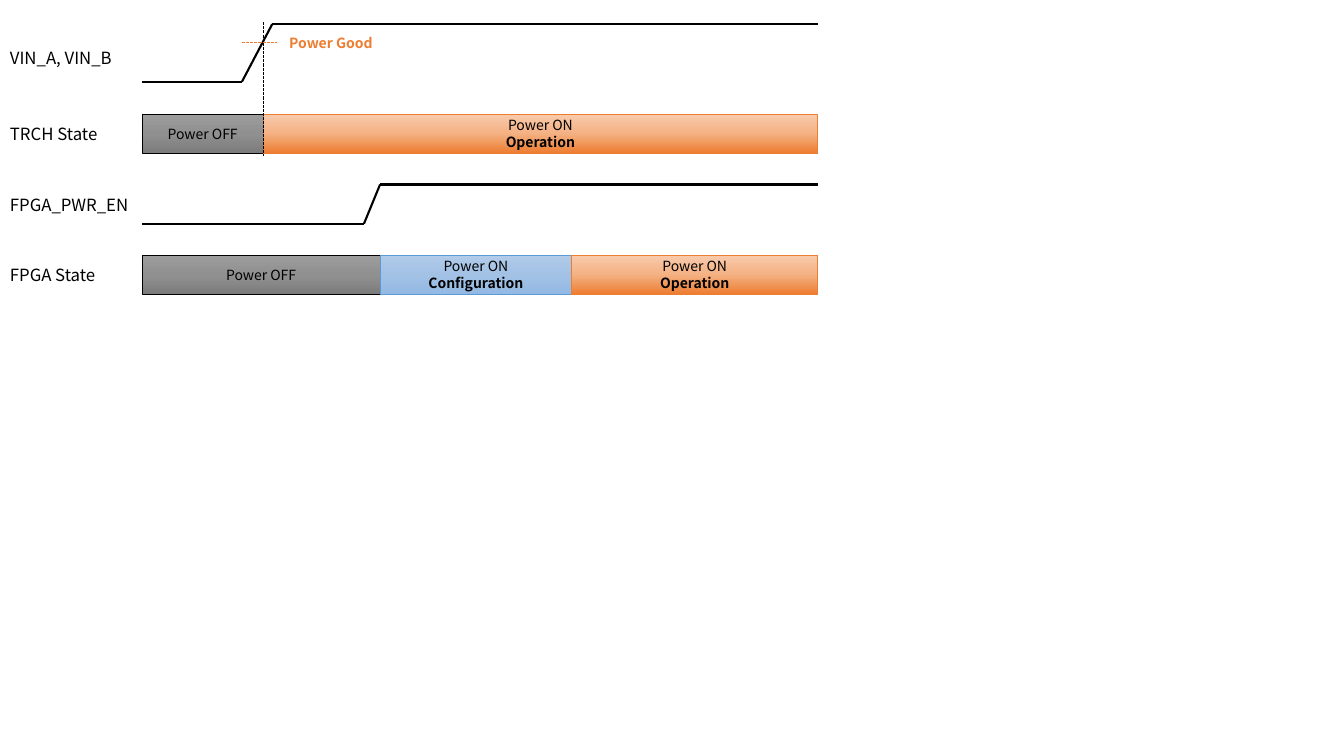
from collections import namedtuple
from lxml import etree
from pptx import Presentation
from pptx.dml.color import RGBColor
from pptx.enum.dml import MSO_LINE
from pptx.enum.shapes import MSO_CONNECTOR, MSO_SHAPE
from pptx.enum.text import MSO_ANCHOR, MSO_AUTO_SIZE, PP_ALIGN
from pptx.oxml.ns import qn
from pptx.util import Inches, Pt

STRAIGHT, RECTANGLE = MSO_CONNECTOR.STRAIGHT, MSO_SHAPE.RECTANGLE
DASHED = MSO_LINE.SQUARE_DOT
MIDDLE, TOP = MSO_ANCHOR.MIDDLE, MSO_ANCHOR.TOP
CENTER, LEFT = PP_ALIGN.CENTER, PP_ALIGN.LEFT
FIT_TEXT = MSO_AUTO_SIZE.SHAPE_TO_FIT_TEXT

FONT = "Noto Sans CJK JP"
BLACK, ORANGE = "000000", "ED7D31"

# Gradient from top to bottom, then outline
OFF = (("9D9D9D", "909090", "7C7C7C"), BLACK)
CONFIGURING = (("B1CBE9", "A3C1E5", "93B9E4"), "5B9BD5")
OPERATING = (("F8CBAD", "F4B183", ORANGE), ORANGE)

# Grid: every row shares the time columns, in inches from the timeline's left
TIMELINE_LEFT, TIMELINE_WIDTH = 1.41, 6.7
VIN_RISE, POWER_GOOD, VIN_HIGH = 0.99, 1.2, 1.29
ENABLE_RISE, FPGA_ON, CONFIGURED = 2.2, 2.36, 4.26
ROW_TOP, ROW_PITCH, ROW_HEIGHT = 1.13, 0.7, 0.39
LABEL_WIDTH, LABEL_HEIGHT = 1.82, 0.3

Box = namedtuple("Box", "left top width height")


def color(hex_code):
    return RGBColor.from_string(hex_code)


def add_text(shape, lines, size=10, ink=BLACK, align=LEFT, anchor=TOP,
             bold_last=False, shadow=False):
    frame = shape.text_frame
    frame.word_wrap = True
    frame.vertical_anchor = anchor
    for number, line in enumerate(lines):
        paragraph = frame.paragraphs[0] if number == 0 else frame.add_paragraph()
        paragraph.alignment = align
        run = paragraph.add_run()
        run.text = line
        run.font.size = Pt(size)
        run.font.bold = bold_last and number == len(lines) - 1
        run.font.color.rgb = color(ink)
        run.font.name = FONT
        properties = run.font._element
        latin = properties.find(qn("a:latin"))
        east_asian = etree.Element(qn("a:ea"), typeface=FONT)
        latin.addnext(east_asian)
        if shadow:
            effects = etree.Element(qn("a:effectLst"))
            cast = etree.SubElement(effects, qn("a:outerShdw"), blurRad="38100",
                                    dist="19050", dir="2700000")
            tint = etree.SubElement(cast, qn("a:srgbClr"), val=BLACK)
            etree.SubElement(tint, qn("a:alpha"), val="40000")
            latin.addprevious(effects)


def add_caption(slide, box, text, **text_format):
    caption = slide.shapes.add_textbox(*map(Inches, box))
    add_text(caption, [text], **text_format)
    caption.text_frame.auto_size = FIT_TEXT


def add_line(slide, start, end, ink=BLACK, weight=1.5, dash=None):
    line = slide.shapes.add_connector(STRAIGHT, *map(Inches, start + end))
    line.line.color.rgb = color(ink)
    line.line.width = Pt(weight)
    if dash:
        line.line.dash_style = dash
    etree.SubElement(line._element.spPr, qn("a:effectLst"))


def fill_gradient(shape, shades):
    shape.fill.gradient()
    shape.fill.gradient_angle = 270  # first shade at the top
    stops = shape._element.spPr.find(qn("a:gradFill")).find(qn("a:gsLst"))
    for stop in list(stops):
        stops.remove(stop)
    for number, shade in enumerate(shades):
        stop = etree.SubElement(stops, qn("a:gs"), pos=str(number * 50000))
        etree.SubElement(stop, qn("a:srgbClr"), val=shade)


def signal_row(slide, box, rise, high):
    """Low level, rising edge and high level across the box."""
    bottom, right = box.top + box.height, box.left + box.width
    points = [(box.left, bottom), (box.left + rise, bottom),
              (box.left + high, box.top), (right, box.top)]
    for start, end in zip(points, points[1:]):
        add_line(slide, start, end)


def state_row(slide, box, phases):
    """Consecutive phases, each lasting until the next one starts."""
    ends = [start for start, _, _ in phases[1:]] + [box.width]
    for (start, lines, (shades, outline)), end in zip(phases, ends):
        phase = slide.shapes.add_shape(
            RECTANGLE, Inches(box.left + start), Inches(box.top),
            Inches(end - start), Inches(box.height))
        phase.shadow.inherit = False
        fill_gradient(phase, shades)
        phase.line.color.rgb = color(outline)
        phase.line.width = Pt(0.5)
        frame = phase.text_frame
        frame.margin_left = frame.margin_right = Inches(0.04)
        frame.margin_top = frame.margin_bottom = Inches(0.04)
        add_text(phase, lines, align=CENTER, anchor=MIDDLE,
                 bold_last=len(lines) > 1)


def power_good_mark(slide, box):
    """Threshold and moment at which the input supply is good."""
    moment, level = box.left + POWER_GOOD, box.top + 0.18
    add_line(slide, (box.left + VIN_RISE, level), (moment + 0.14, level),
             ink=ORANGE, weight=0.75, dash=DASHED)
    add_line(slide, (moment, box.top - 0.02), (moment, ROW_TOP + ROW_HEIGHT + 0.03),
             weight=0.75, dash=DASHED)
    add_caption(slide, Box(moment + 0.16, level - 0.13, 1.15, 0.27), "Power Good",
                ink=ORANGE, bold_last=True, shadow=True)


def power_sequence(slide):
    vin = Box(TIMELINE_LEFT, 0.24, TIMELINE_WIDTH, 0.57)
    trch, enable, fpga = [
        Box(TIMELINE_LEFT, ROW_TOP + row * ROW_PITCH, TIMELINE_WIDTH, ROW_HEIGHT)
        for row in range(3)]

    # Row labels
    labels = (("VIN_A, VIN_B", 0.42), ("TRCH State", trch.top + 0.05),
              ("FPGA_PWR_EN", enable.top + 0.05), ("FPGA State", fpga.top + 0.05))
    for text, top in labels:
        add_caption(slide, Box(0, top, LABEL_WIDTH, LABEL_HEIGHT), text, size=12)

    # Signals and states
    power_off = (0, ["Power OFF"], OFF)
    operation = ["Power ON", "Operation"]
    signal_row(slide, vin, VIN_RISE, VIN_HIGH)
    state_row(slide, trch, [power_off, (POWER_GOOD, operation, OPERATING)])
    signal_row(slide, enable, ENABLE_RISE, FPGA_ON)
    state_row(slide, fpga, [
        power_off,
        (FPGA_ON, ["Power ON", "Configuration"], CONFIGURING),
        (CONFIGURED, operation, OPERATING)])
    power_good_mark(slide, vin)


presentation = Presentation()
presentation.slide_width, presentation.slide_height = Inches(13.33), Inches(7.5)
power_sequence(presentation.slides.add_slide(presentation.slide_layouts[6]))
presentation.save("out.pptx")
